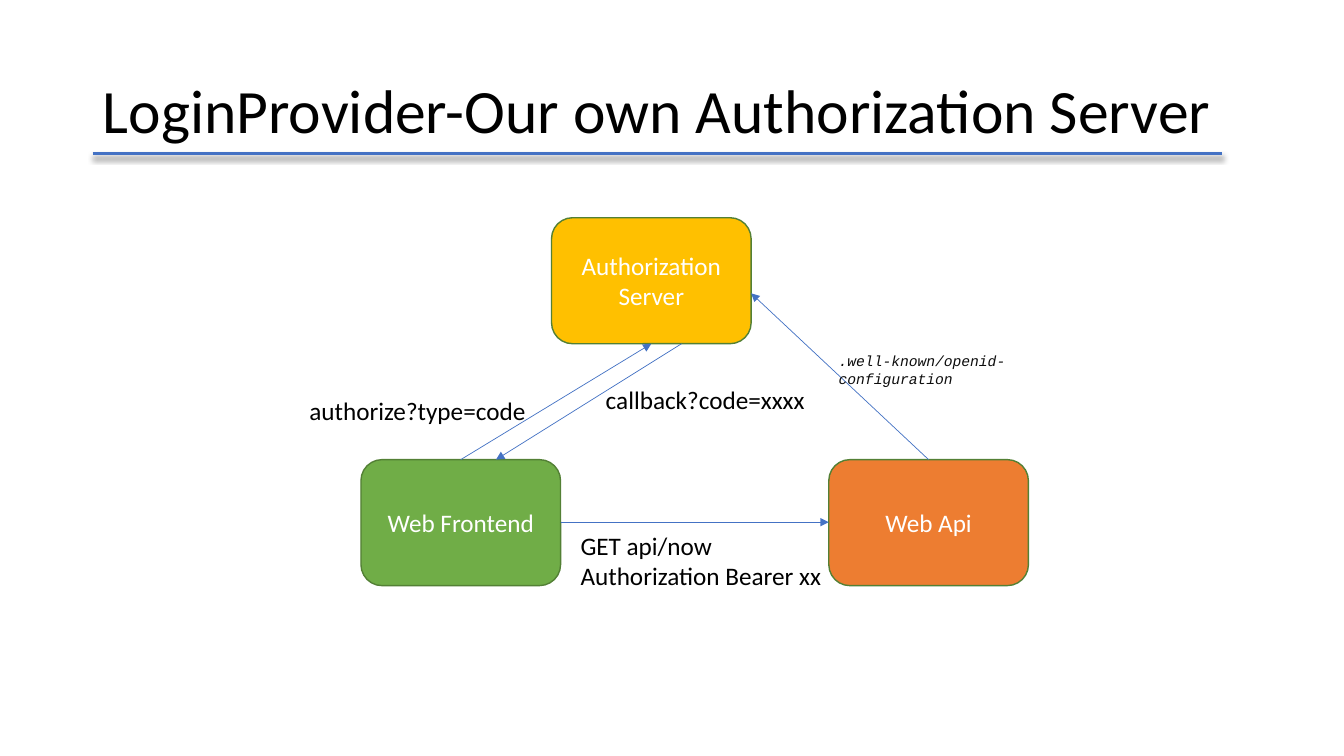
from lxml.etree import SubElement
from pptx import Presentation
from pptx.dml.color import RGBColor
from pptx.enum.shapes import MSO_CONNECTOR as Connector, MSO_SHAPE as Shape
from pptx.enum.text import MSO_ANCHOR as Anchor, MSO_AUTO_SIZE as AutoSize, PP_ALIGN as Align
from pptx.oxml.ns import qn
from pptx.util import Inches, Pt

COLORS = {
    "blue": "4472C4", "green": "70AD47", "orange": "ED7D31", "gold": "FFC000",
    "border": "538035", "white": "FFFFFF", "black": "000000", "ink": "0D0D0D",
}
BOX_WIDTH, BOX_HEIGHT = 1.98, 1.25


def write(frame, text, size=18, color="black", font="Calibri", italic=None,
          align=Align.LEFT, anchor=Anchor.TOP, spacing=None, fit=AutoSize.NONE):
    frame.word_wrap = True
    frame.auto_size = fit
    frame.vertical_anchor = anchor
    paragraph = frame.paragraphs[0]
    paragraph.text = text
    paragraph.alignment = align
    paragraph.line_spacing = spacing
    for run in paragraph.runs:
        run.font.size = Pt(size)
        run.font.name = font
        run.font.italic = italic
        run.font.color.rgb = RGBColor.from_string(COLORS[color])


def draw_line(start, end, width):
    line = slide.shapes.add_connector(Connector.STRAIGHT, *map(Inches, start + end))
    line.line.color.rgb = RGBColor.from_string(COLORS["blue"])
    line.line.width = Pt(width)
    effects = SubElement(line._element.spPr, qn("a:effectLst"))
    return line, effects


deck = Presentation()
deck.slide_width, deck.slide_height = Inches(13.33), Inches(7.5)
slide = deck.slides.add_slide(deck.slide_layouts[5])

title = slide.shapes.title
title.left, title.top, title.width, title.height = map(Inches, (0.92, 0.4, 11.5, 1.45))
write(title.text_frame, "LoginProvider-Our own Authorization Server", size=44,
      anchor=Anchor.MIDDLE, spacing=0.9)

title_rule, rule_effects = draw_line((0.92, 1.52), (12.12, 1.52), 2.25)
rule_shadow = SubElement(rule_effects, qn("a:outerShdw"), blurRad=str(Pt(4)),
                         dist=str(Pt(3)), dir="5400000", algn="t", rotWithShape="0")
shadow_color = SubElement(rule_shadow, qn("a:srgbClr"), val=COLORS["black"])
SubElement(shadow_color, qn("a:alpha"), val="40000")

for name, left, top, color in [
    ("Web Frontend", 3.58, 4.56, "green"),
    ("Web Api", 8.22, 4.56, "orange"),
    ("Authorization Server", 5.47, 2.16, "gold"),
]:
    service = slide.shapes.add_shape(
        Shape.ROUNDED_RECTANGLE, *map(Inches, (left, top, BOX_WIDTH, BOX_HEIGHT)))
    service.shadow.inherit = False
    service.fill.solid()
    service.fill.fore_color.rgb = RGBColor.from_string(COLORS[color])
    service.line.color.rgb = RGBColor.from_string(COLORS["border"])
    service.line.width = Pt(1)
    write(service.text_frame, name, color="white", align=Align.CENTER, anchor=Anchor.MIDDLE)

for start, end in [
    ((4.57, 4.56), (6.46, 3.41)),
    ((5.56, 5.18), (8.22, 5.18)),
    ((6.76, 3.41), (4.92, 4.56)),
    ((9.21, 4.56), (7.45, 2.91)),
]:
    request, _ = draw_line(start, end, 0.5)
    SubElement(request.line._get_or_add_ln(), qn("a:tailEnd"), type="triangle")

for message, left, top, height, style in [
    ("authorize?type=code", 2.97, 3.87, 0.4, {}),
    ("callback?code=xxxx", 5.91, 3.76, 0.4, {}),
    ("GET api/now\nAuthorization Bearer xx", 5.66, 5.21, 0.71, {}),
    (".well-known/openid-configuration", 8.22, 3.44, 0.28,
     {"size": 10.5, "font": "Courier New", "color": "ink", "italic": True}),
]:
    label = slide.shapes.add_textbox(*map(Inches, (left, top, 2.6, height)))
    write(label.text_frame, message, fit=AutoSize.SHAPE_TO_FIT_TEXT, **style)

deck.save("out.pptx")
